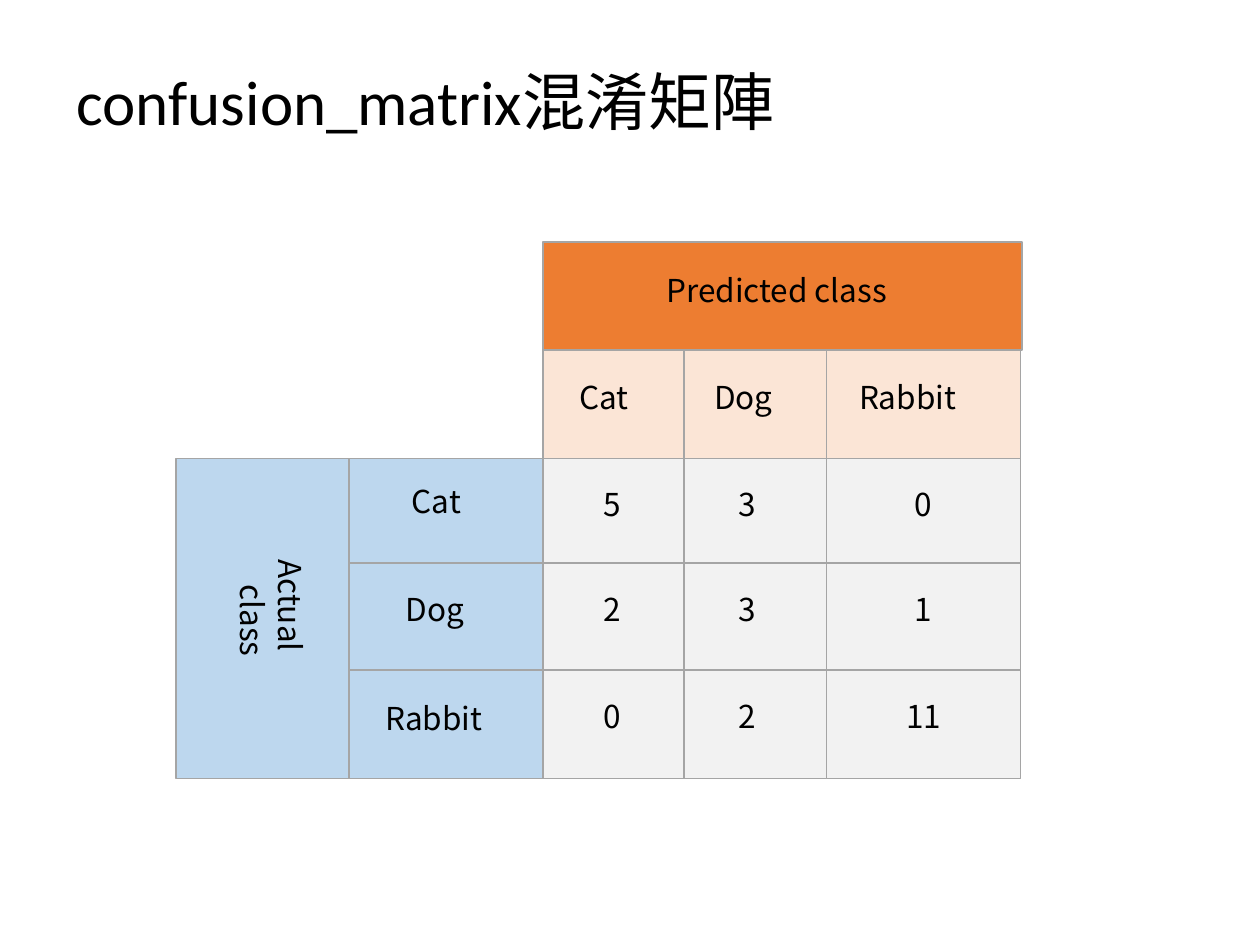
from pptx import Presentation, util as u
from pptx.dml.color import RGBColor
from pptx.enum import shapes, text

SCALE = 9144
BLACK = RGBColor(0x00, 0x00, 0x00)
GRAY = RGBColor(0xA5, 0xA5, 0xA5)
ORANGE = RGBColor(0xED, 0x7D, 0x31)
PEACH = RGBColor(0xFB, 0xE5, 0xD6)
BLUE = RGBColor(0xBD, 0xD7, 0xEE)
PALE = RGBColor(0xF2, 0xF2, 0xF2)
LEFT = text.PP_ALIGN.LEFT
CENTER = text.PP_ALIGN.CENTER


def px(*lengths):
    return [u.Emu(length * SCALE) for length in lengths]


class SlideBuilder:
    font = "Noto Sans CJK SC"
    size = 18

    def __init__(self, presentation):
        self.slide = presentation.slides.add_slide(presentation.slide_layouts[6])
        self.target = self.slide.shapes

    def start_group(self):
        self.target = self.slide.shapes.add_group_shape().shapes

    def cell(self, left, top, width, height, fill):
        shape = self.target.add_shape(
            shapes.MSO_SHAPE.RECTANGLE, *px(left, top, width, height))
        shape.shadow.inherit = False
        shape.fill.solid()
        shape.fill.fore_color.rgb = fill
        shape.line.color.rgb = GRAY
        shape.line.width = u.Pt(1)

    def label(self, left, top, width, height, lines, aligns=(LEFT,),
              font=None, size=None, rotation=0):
        shape = self.target.add_textbox(*px(left, top, width, height))
        shape.rotation = rotation
        frame = shape.text_frame
        frame.word_wrap = True
        frame.auto_size = text.MSO_AUTO_SIZE.SHAPE_TO_FIT_TEXT
        frame.text = lines
        for paragraph, align in zip(frame.paragraphs, aligns):
            paragraph.alignment = align
            paragraph.font.name = font or self.font
            paragraph.font.size = u.Pt(size or self.size)
            paragraph.font.color.rgb = BLACK


def main():
    presentation = Presentation()
    presentation.slide_width, presentation.slide_height = px(1000, 750)
    builder = SlideBuilder(presentation)
    builder.label(51, 45, 579, 71, "confusion_matrix混淆矩陣",
                  font="Calibri", size=36)

    classes = ["Cat", "Dog", "Rabbit"]
    label_widths = [74, 88, 121]
    columns = [(431, 113), (543, 113), (656, 154)]
    rows = [364, 447, 532]
    row_height = 86
    counts = [[5, 3, 0], [2, 3, 1], [0, 2, 11]]

    builder.start_group()
    for left, width in columns:
        builder.cell(left, 278, width, row_height, PEACH)
        for top in rows:
            builder.cell(left, top, width, row_height, PALE)
    builder.cell(431, 192, 380, row_height, ORANGE)
    for top in rows:
        builder.cell(277, top, 154, row_height, BLUE)
    builder.cell(140, 364, 137, 254, BLUE)

    builder.label(519, 210, 241, 50, "Predicted class")
    for name, width, left in zip(classes, label_widths, [450, 557, 672]):
        builder.label(left, 295, width, 50, name)
    for name, width, left, top in zip(
            classes, label_widths, [317, 312, 296], [378, 463, 550]):
        builder.label(left, top, width, 50, name)

    for top, row in zip(rows, counts):
        for center, align, count in zip([490, 597, 733], [LEFT, LEFT, CENTER], row):
            width = 42 if count < 10 else 60
            builder.label(center - width // 2, top + 16, width, 50,
                          str(count), [align])
    builder.label(149, 449, 117, 87, "Actual\nclass", [LEFT, CENTER], rotation=90)

    presentation.save("out.pptx")


if __name__ == "__main__":
    main()
